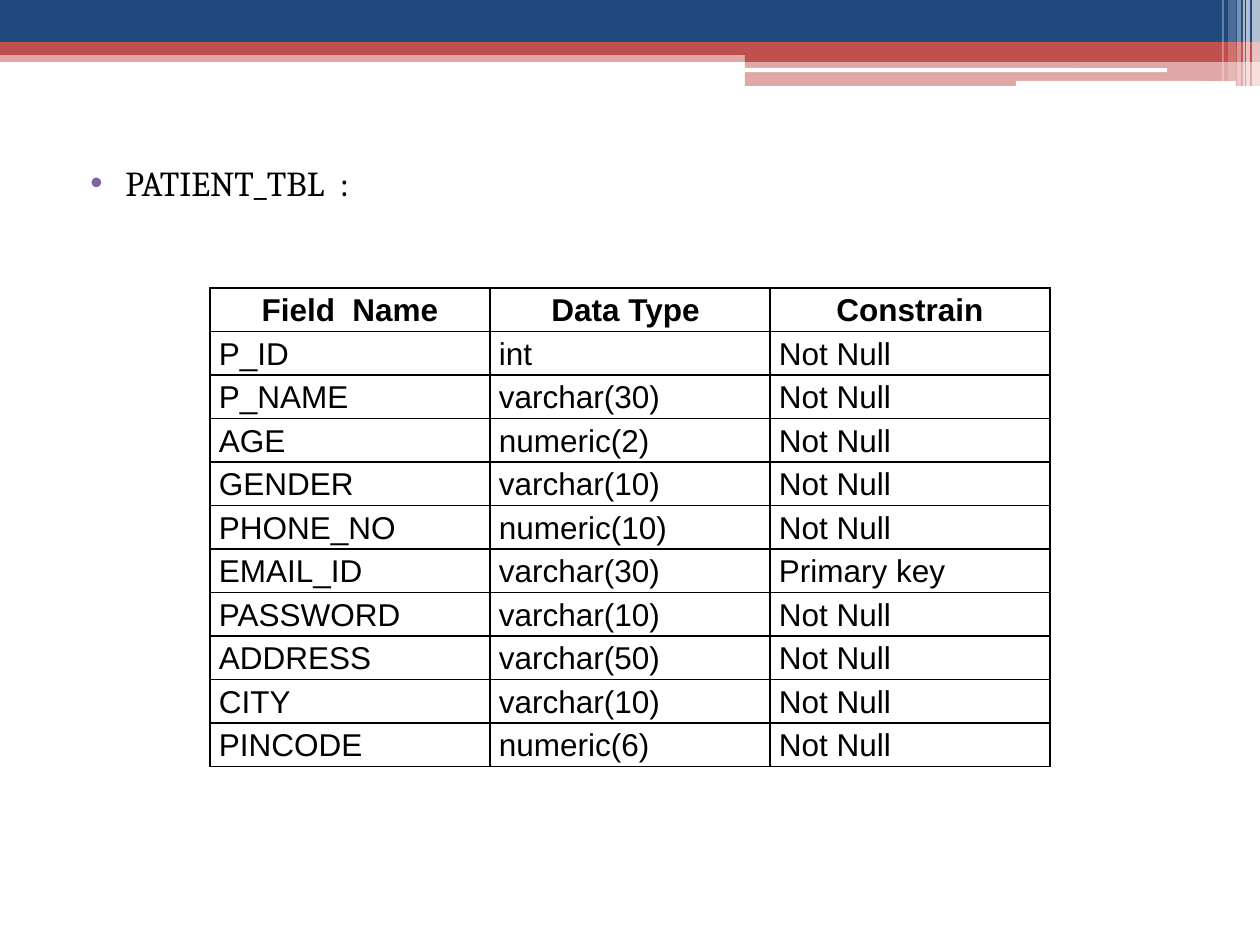
from dataclasses import dataclass

from lxml import etree
from pptx import Presentation
from pptx import util as u
from pptx.dml.color import RGBColor
from pptx.enum import shapes, text
from pptx.oxml import ns

PX_PER_INCH = 126


@dataclass(frozen=True)
class Theme:
    navy: str = "1F497D"
    red: str = "C0504D"
    white: str = "FFFFFF"
    black: str = "000000"
    bullet: str = "8064A2"
    heading_font: str = "Cambria"
    table_font: str = "Arial"
    heading_size: int = 20
    table_size: int = 18
    border_width: int = 1


THEME = Theme()

BANDS = [
    (0, 50, 1260, 12, THEME.red, 50),
    (0, 0, 1260, 42, THEME.navy, 100),
    (0, 42, 1260, 13, THEME.red, 100),
    (745, 49, 515, 13, THEME.red, 100),
    (745, 61, 515, 25, THEME.red, 50),
]
GROOVES = [(745, 68, 422, 4), (1016, 81, 220, 5)]
STRIPES = [
    (1252, 8, 86, 65),
    (1246, 4, 86, 65),
    (1243, 2, 86, 60),
    (1237, 4, 86, 40),
    (1228, 8, 81, 20),
    (1222, 2, 81, 30),
]

HEADER = ("Field  Name", "Data Type ", "Constrain")
FIELDS = [
    ("P_ID", "int", "Not Null"),
    ("P_NAME", "varchar(30)", "Not Null"),
    ("AGE", "numeric(2)", "Not Null"),
    ("GENDER", "varchar(10)", "Not Null"),
    ("PHONE_NO", "numeric(10)", "Not Null"),
    ("EMAIL_ID", "varchar(30)", "Primary key"),
    ("PASSWORD", "varchar(10)", "Not Null"),
    ("ADDRESS", "varchar(50)", "Not Null"),
    ("CITY", "varchar(10)", "Not Null"),
    ("PINCODE", "numeric(6)", "Not Null"),
]


def px(length):
    return u.Inches(length / PX_PER_INCH)


def add_element(parent, tag, **attributes):
    return etree.SubElement(parent, ns.qn(tag), attributes)


def style_runs(paragraph, font, size, bold=False):
    for run in paragraph.runs:
        run.font.name = font
        run.font.size = u.Pt(size)
        run.font.bold = bold
        run.font.color.rgb = RGBColor.from_string(THEME.black)


def add_block(slide, left, top, width, height, color, opacity=100,
              outline=shapes.MSO_SHAPE.RECTANGLE):
    block = slide.shapes.add_shape(outline, px(left), px(top), px(width), px(height))
    block.shadow.inherit = False
    block.line.fill.background()
    block.fill.solid()
    block.fill.fore_color.rgb = RGBColor.from_string(color)
    if opacity < 100:
        tint = block._element.spPr.find(".//" + ns.qn("a:srgbClr"))
        add_element(tint, "a:alpha", val=str(opacity * 1000))
    return block


def add_banner(slide):
    for band in BANDS:
        add_block(slide, *band)
    for groove in GROOVES:
        add_block(slide, *groove, THEME.white,
                  outline=shapes.MSO_SHAPE.ROUNDED_RECTANGLE)
    for left, width, height, opacity in STRIPES:
        add_block(slide, left, 0, width, height, THEME.white, opacity)


def add_heading(slide, wording, left, top, width, height):
    frame = slide.shapes.add_textbox(px(left), px(top), px(width), px(height)).text_frame
    frame.word_wrap = True
    frame.text = wording
    paragraph = frame.paragraphs[0]
    properties = paragraph._p.get_or_add_pPr()
    properties.set("marL", str(px(50)))
    properties.set("indent", str(px(-35)))
    add_element(add_element(properties, "a:buClr"), "a:srgbClr", val=THEME.bullet)
    add_element(properties, "a:buFont", typeface=THEME.table_font)
    add_element(properties, "a:buChar", char="•")
    style_runs(paragraph, THEME.heading_font, THEME.heading_size)


def add_borders(cell):
    properties = cell._tc.get_or_add_tcPr()
    for position, side in enumerate(("a:lnL", "a:lnR", "a:lnT", "a:lnB")):
        border = etree.Element(ns.qn(side), w=str(u.Pt(THEME.border_width)))
        add_element(add_element(border, "a:solidFill"), "a:srgbClr", val=THEME.black)
        properties.insert(position, border)


def fill_cell(cell, wording, is_header):
    cell.fill.background()
    cell.margin_left = cell.margin_right = px(9)
    cell.margin_top = cell.margin_bottom = 0
    cell.text_frame.text = wording
    paragraph = cell.text_frame.paragraphs[0]
    paragraph.line_spacing = 1.15
    paragraph.alignment = text.PP_ALIGN.CENTER if is_header else text.PP_ALIGN.JUSTIFY
    style_runs(paragraph, THEME.table_font, THEME.table_size, bold=is_header)
    add_borders(cell)


def add_field_table(slide, records, left, top, column_width, row_height):
    columns = len(records[0])
    table = slide.shapes.add_table(
        len(records), columns, px(left), px(top),
        px(column_width * columns), px(row_height * len(records))).table
    table.first_row = False
    table.horz_banding = False
    for row, record in enumerate(records):
        for column, wording in enumerate(record):
            fill_cell(table.cell(row, column), wording, is_header=row == 0)


def main():
    deck = Presentation()
    deck.slide_width, deck.slide_height = px(1260), px(945)
    slide = deck.slides.add_slide(deck.slide_layouts[6])
    add_banner(slide)
    add_heading(slide, "PATIENT_TBL  :", 63, 155, 1134, 60)
    add_field_table(slide, [HEADER, *FIELDS], 210, 288, 280, 40)
    deck.save("out.pptx")


if __name__ == "__main__":
    main()
